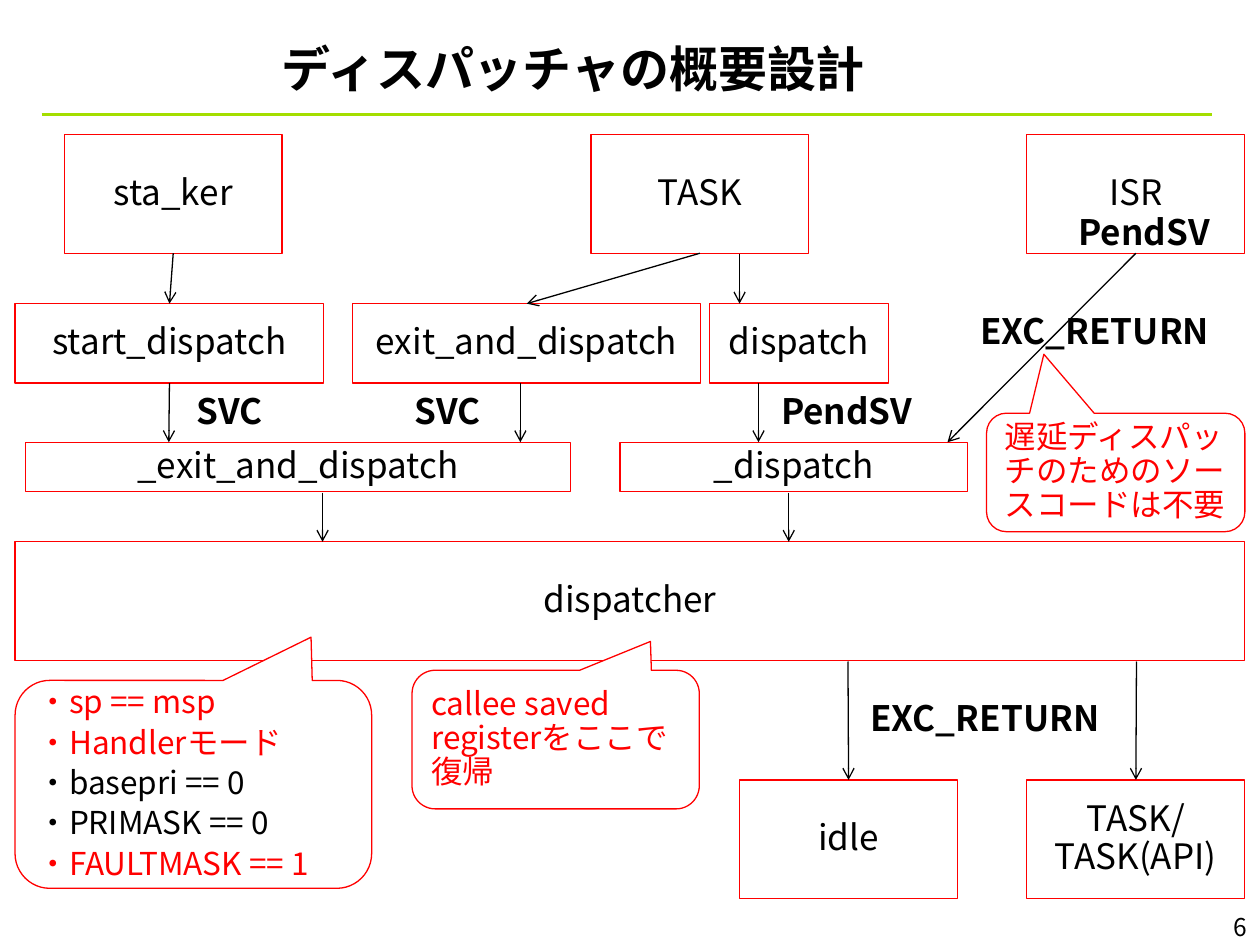
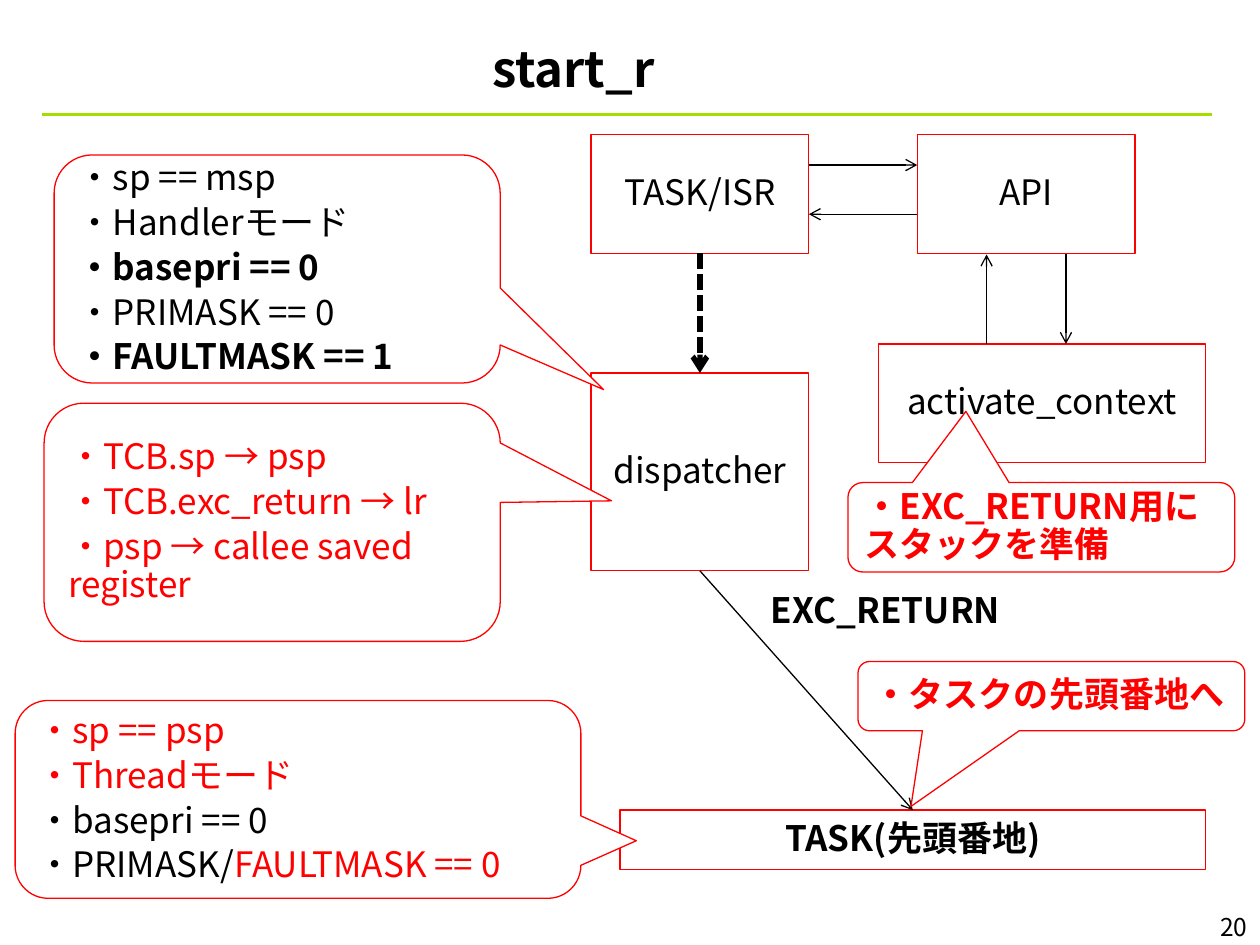
"""Build two slides on the dispatcher design and the start_r flow."""
from dataclasses import dataclass

from lxml import etree
from pptx import Presentation
from pptx import util as u
from pptx.dml.color import RGBColor
from pptx.enum import dml, shapes, text
from pptx.oxml.ns import qn

TOP, LEFT, BOTTOM, RIGHT = range(4)


@dataclass(frozen=True)
class Theme:
    """Colours, type sizes and line widths of the deck."""
    font: str = "Noto Sans CJK JP"
    ink: str = "000000"
    accent: str = "FF0000"
    paper: str = "FFFFFF"
    rule: str = "A4DE00"
    title: int = 28
    body: int = 20
    small: int = 18
    number: int = 14
    thin: float = 0.75
    medium: float = 1.5
    thick: float = 3


class Sketch:
    """Draws the elements of the current page in one style."""

    def __init__(self, deck, theme):
        """Keep the deck and its theme."""
        self.deck, self.theme, self.page = deck, theme, None

    def start_page(self, title, number):
        """Add a page with its title, rule and page number."""
        self.page = self.deck.slides.add_slide(self.deck.slide_layouts[5])
        box = self.page.shapes.title
        self.place(box, 0.23, 0.21, 8.64, 0.55)
        frame = self.set_frame(box, text.MSO_ANCHOR.MIDDLE)
        frame.margin_top = u.Inches(0.16)
        para = frame.paragraphs[0]
        para.alignment = text.PP_ALIGN.CENTER
        self.add_span(para, title, self.theme.title, bold=True)
        self.line((0.33, 0.91), (9.62, 0.91), self.theme.rule, self.theme.medium)
        self.label(str(number), 9.17, 7.19, 0.83, 0.33, self.theme.number,
                   False, text.PP_ALIGN.RIGHT)

    def place(self, box, left, top, width, height):
        """Move and size a shape."""
        box.left, box.top = u.Inches(left), u.Inches(top)
        box.width, box.height = u.Inches(width), u.Inches(height)

    def set_frame(self, box, anchor):
        """Set wrapping, insets and anchor of a text frame."""
        frame = box.text_frame
        frame.word_wrap = True
        frame.auto_size = text.MSO_AUTO_SIZE.NONE
        frame.vertical_anchor = anchor
        frame.margin_left = frame.margin_right = u.Inches(0.1)
        frame.margin_top = frame.margin_bottom = u.Inches(0.05)
        return frame

    def add_span(self, para, words, size, colour=None, bold=False):
        """Add one formatted run."""
        span = para.add_run()
        span.text = words
        font = span.font
        font.name, font.size, font.bold = self.theme.font, u.Pt(size), bold
        font.color.rgb = RGBColor.from_string(colour or self.theme.ink)
        latin = font._element.find(qn("a:latin"))
        east = etree.Element(qn("a:ea"), typeface=self.theme.font)
        latin.addnext(east)

    def outlined(self, kind, area, rows, size, align):
        """Add a red outlined shape whose rows are lists of spans."""
        box = self.page.shapes.add_shape(kind, *map(u.Inches, area))
        box.shadow.inherit = False
        box.fill.background()
        box.line.color.rgb = RGBColor.from_string(self.theme.accent)
        box.line.width = u.Pt(self.theme.thin)
        frame = self.set_frame(box, text.MSO_ANCHOR.MIDDLE)
        for index, row in enumerate(rows):
            para = frame.add_paragraph() if index else frame.paragraphs[0]
            para.alignment, para.line_spacing = align, 0.9
            para.space_before = u.Pt(0.2 * size if index else 0)
            for words, colour, bold in row:
                self.add_span(para, words, size, colour, bold)
        return box

    def block(self, words, left, top, width=1.73, height=0.94, bold=False):
        """Add a rectangle with centred text."""
        return self.outlined(shapes.MSO_SHAPE.RECTANGLE, (left, top, width, height),
                             [[(words, self.theme.ink, bold)]], self.theme.body,
                             text.PP_ALIGN.CENTER)

    def callout(self, area, tip, rows, size):
        """Add a white rounded callout pointing to its tip."""
        box = self.outlined(shapes.MSO_SHAPE.ROUNDED_RECTANGULAR_CALLOUT, area,
                            rows, size, text.PP_ALIGN.LEFT)
        box.fill.solid()
        box.fill.fore_color.rgb = RGBColor.from_string(self.theme.paper)
        for index, value in enumerate((*tip, 0.167)):
            box.adjustments[index] = value

    def label(self, words, left, top, width, height=0.44, size=None, bold=True,
              align=text.PP_ALIGN.LEFT):
        """Add a free text label."""
        box = self.page.shapes.add_textbox(*map(u.Inches, (left, top, width, height)))
        para = self.set_frame(box, text.MSO_ANCHOR.TOP).paragraphs[0]
        para.alignment = align
        self.add_span(para, words, size or self.theme.body, bold=bold)

    def line(self, start, end, colour, width):
        """Add a line between points or (box, side) pairs."""
        points = [(0, 0) if hasattr(stop[0], "shape_id") else stop
                  for stop in (start, end)]
        link = self.page.shapes.add_connector(
            shapes.MSO_CONNECTOR.STRAIGHT,
            *(u.Inches(value) for point in points for value in point))
        for stop, connect in ((start, link.begin_connect), (end, link.end_connect)):
            if hasattr(stop[0], "shape_id"):
                connect(*stop)
        link.line.color.rgb = RGBColor.from_string(colour)
        link.line.width = u.Pt(width)
        etree.SubElement(link._element.spPr, qn("a:effectLst"))
        return link

    def arrow(self, start, end, dashed=False):
        """Add an arrow, thick when dashed."""
        width = self.theme.thick if dashed else self.theme.thin
        link = self.line(start, end, self.theme.ink, width)
        if dashed:
            link.line.dash_style = dml.MSO_LINE.SQUARE_DOT
        etree.SubElement(link._element.spPr.find(qn("a:ln")), qn("a:tailEnd"),
                         type="arrow")


def draw_overview(sketch):
    """Draw the overall dispatcher design."""
    theme = sketch.theme
    ink, accent = theme.ink, theme.accent
    sketch.start_page("ディスパッチャの概要設計", 6)
    sketch.block("dispatcher", 0.12, 4.3, 9.76)
    sta_ker = sketch.block("sta_ker", 0.51, 1.07)
    exit_call = sketch.block("exit_and_dispatch", 2.8, 2.41, 2.76, 0.63)
    sketch.block("_dispatch", 4.92, 3.51, 2.76, 0.39)
    start_call = sketch.block("start_dispatch", 0.12, 2.41, 2.45, 0.63)
    task = sketch.block("TASK", 4.69, 1.07)
    isr = sketch.block("ISR", 8.15, 1.07)
    idle = sketch.block("idle", 5.87, 6.19)
    resumed = sketch.block("TASK/TASK(API)", 8.15, 6.19)
    sketch.block("_exit_and_dispatch", 0.2, 3.51, 4.33, 0.39)
    sketch.block("dispatch", 5.63, 2.41, 1.42, 0.63)

    for start, end in (
            ((sta_ker, BOTTOM), (start_call, TOP)),
            ((task, BOTTOM), (exit_call, TOP)),
            ((5.87, 2.02), (5.87, 2.41)),
            ((isr, BOTTOM), (7.52, 3.51)),
            ((start_call, BOTTOM), (1.34, 3.51)),
            ((4.13, 3.04), (4.13, 3.51)),
            ((6.02, 3.04), (6.02, 3.51)),
            ((2.56, 3.91), (2.56, 4.3)),
            ((6.26, 3.91), (6.26, 4.3)),
            ((6.73, 5.25), (idle, TOP)),
            ((9.02, 5.25), (resumed, TOP))):
        sketch.arrow(start, end)

    for words, left, top, width in (
            ("SVC", 1.46, 3.04, 0.79), ("SVC", 3.19, 3.04, 0.79),
            ("PendSV", 6.1, 3.04, 1.42), ("PendSV", 8.46, 1.62, 1.42),
            ("EXC_RETURN", 7.68, 2.41, 2.2), ("EXC_RETURN", 6.81, 5.48, 2.2)):
        sketch.label(words, left, top, width)

    state = [("・sp == msp", accent), ("・Handlerモード", accent),
             ("・basepri == 0", ink), ("・PRIMASK == 0", ink),
             ("・FAULTMASK == 1", accent)]
    sketch.callout((0.12, 5.4, 2.83, 1.65), (0.33, -0.708),
                   [[(words, colour, False)] for words, colour in state], theme.small)
    sketch.callout((3.27, 5.32, 2.28, 1.1), (0.33, -0.708),
                   [[("callee saved registerをここで復帰", accent, False)]], theme.small)
    sketch.callout((7.83, 3.28, 2.05, 0.94), (-0.278, -0.998),
                   [[("遅延ディスパッチのためのソースコードは不要", accent, False)]],
                   theme.small)


def draw_start_r(sketch):
    """Draw the flow that leads to the first address of a task."""
    theme = sketch.theme
    ink, accent = theme.ink, theme.accent
    sketch.start_page("start_r", 20)
    first_address = sketch.block("TASK(先頭番地)", 4.92, 6.43, 4.65, 0.47, bold=True)
    caller = sketch.block("TASK/ISR", 4.69, 1.07)
    sketch.block("API", 7.28, 1.07)
    sketch.block("activate_context", 6.97, 2.73, 2.6)
    dispatcher = sketch.block("dispatcher", 4.69, 2.96, 1.73, 1.57)

    sketch.arrow((caller, BOTTOM), (dispatcher, TOP), dashed=True)
    for start, end in (
            ((6.42, 1.31), (7.28, 1.31)), ((7.28, 1.7), (6.42, 1.7)),
            ((8.46, 2.02), (8.46, 2.73)), ((7.83, 2.73), (7.83, 2.02)),
            ((dispatcher, BOTTOM), (first_address, TOP))):
        sketch.arrow(start, end)
    sketch.label("EXC_RETURN", 6.02, 4.62, 2.28)

    before = [("・sp == msp", False), ("・Handlerモード", False),
              ("・basepri == 0", True), ("・PRIMASK == 0", False),
              ("・FAULTMASK == 1", True)]
    restore = ("・TCB.sp → psp", "・TCB.exc_return → lr",
               "・psp → callee saved register")
    after = [[("・sp == psp", accent, False)], [("・Threadモード", accent, False)],
             [("・basepri == 0", ink, False)],
             [("・PRIMASK/", ink, False), ("FAULTMASK == 0", accent, False)]]
    for area, tip, rows in (
            ((0.43, 1.23, 3.54, 1.81), (0.732, 0.529),
             [[(words, ink, bold)] for words, bold in before]),
            ((0.35, 3.2, 3.62, 1.89), (0.744, -0.09),
             [[(words, accent, False)] for words in restore]),
            ((0.12, 5.56, 4.49, 1.57), (0.598, 0.209), after),
            ((6.81, 5.25, 3.07, 0.55), (-0.363, 1.591),
             [[("・タスクの先頭番地へ", accent, True)]]),
            ((6.73, 3.83, 3.07, 0.71), (-0.195, -1.296),
             [[("・EXC_RETURN用にスタックを準備", accent, True)]])):
        sketch.callout(area, tip, rows, theme.body)


def main():
    """Build and save the deck."""
    deck = Presentation()
    deck.slide_width, deck.slide_height = u.Inches(10), u.Inches(7.5)
    sketch = Sketch(deck, Theme())
    draw_overview(sketch)
    draw_start_r(sketch)
    deck.save("out.pptx")


if __name__ == "__main__":
    main()
